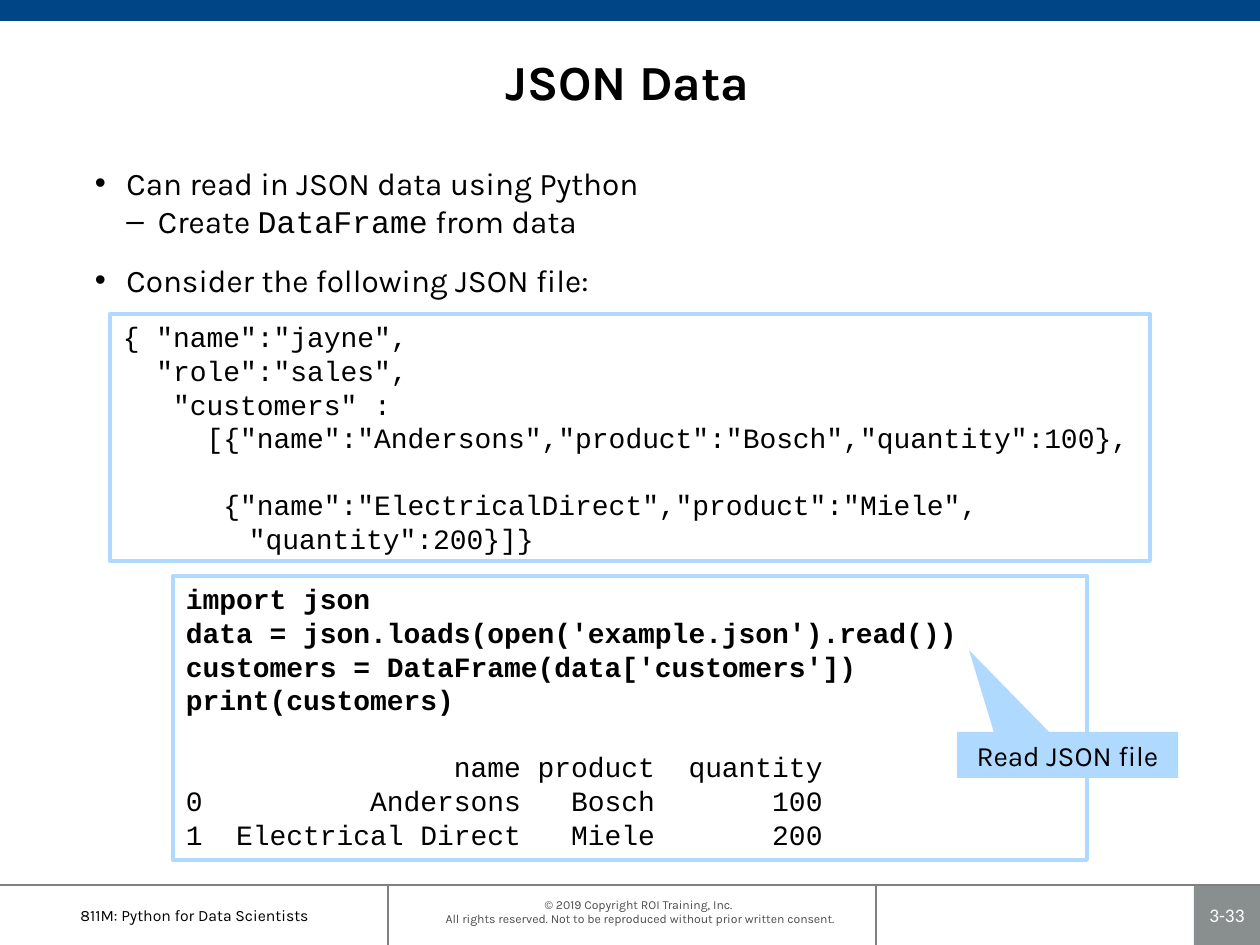
from lxml import etree
from pptx import Presentation
from pptx.dml.color import RGBColor
from pptx.enum.shapes import MSO_CONNECTOR, MSO_SHAPE
from pptx.enum.text import MSO_ANCHOR, MSO_AUTO_SIZE, PP_ALIGN
from pptx.oxml.ns import qn
from pptx.util import Emu, Pt

PX_PER_INCH = 126
EMU_PER_PX = 914400 / PX_PER_INCH
PAGE_WIDTH, PAGE_HEIGHT = 1260, 945
FOOTER_TOP = 885
FOOTER_HEIGHT = PAGE_HEIGHT - FOOTER_TOP

BLACK = RGBColor(0x00, 0x00, 0x00)
WHITE = RGBColor(0xFF, 0xFF, 0xFF)
NAVY = RGBColor(0x00, 0x46, 0x86)
LIGHT_BLUE = RGBColor(0xAF, 0xD9, 0xFF)
RULE_GRAY = RGBColor(0x80, 0x80, 0x80)
NUMBER_GRAY = RGBColor(0x89, 0x8F, 0x8F)
COPYRIGHT_GRAY = RGBColor(0x4D, 0x4D, 0x4D)

RECTANGLE = MSO_SHAPE.RECTANGLE
CALLOUT = MSO_SHAPE.RECTANGULAR_CALLOUT
STRAIGHT = MSO_CONNECTOR.STRAIGHT
TOP, MIDDLE = MSO_ANCHOR.TOP, MSO_ANCHOR.MIDDLE
LEFT, CENTER = PP_ALIGN.LEFT, PP_ALIGN.CENTER
SANS, MONO = "Karla", "Courier New"
CODE_LINE = Pt(19.2)

BULLETS = [
    (0, [("Can read in JSON data using Python", SANS)]),
    (1, [("Create ", SANS), ("DataFrame", MONO), (" from data", SANS)]),
    (0, [("Consider the following JSON file:", SANS)]),
]
JSON_BLOCKS = [
    (['{ "name":"jayne",',
      '  "role":"sales",',
      '   "customers" :',
      '     [{"name":"Andersons","product":"Bosch","quantity":100},'], False),
    (['      {"name":"ElectricalDirect","product":"Miele",',
      '\t\t"quantity":200}]}'], False),
]
PYTHON_BLOCKS = [
    (["import json",
      "data = json.loads(open('example.json').read())",
      "customers = DataFrame(data['customers'])",
      "print(customers)"], True),
    (["                name product  quantity",
      "0          Andersons   Bosch       100",
      "1  Electrical Direct   Miele       200"], False),
]


def px(value):
    return Emu(round(value * EMU_PER_PX))


def set_all(target, values):
    for name, value in values.items():
        setattr(target, name, value)


class SlideBuilder:
    """Holds the deck, the current page and the shared text style."""

    def __init__(self):
        self.deck = Presentation()
        set_all(self.deck, {"slide_width": px(PAGE_WIDTH),
                            "slide_height": px(PAGE_HEIGHT)})
        self.page = self.deck.slides.add_slide(self.deck.slide_layouts[5])

    def format_frame(self, frame, anchor=TOP, margins=(13, 6)):
        across, down = map(px, margins)
        set_all(frame, {"word_wrap": True, "auto_size": MSO_AUTO_SIZE.NONE,
                        "vertical_anchor": anchor,
                        "margin_left": across, "margin_right": across,
                        "margin_top": down, "margin_bottom": down})

    def add_span(self, para, text, size, font=SANS, color=BLACK, bold=False):
        span = para.add_run()
        span.text = text
        set_all(span.font, {"size": Pt(size), "name": font, "bold": bold})
        span.font.color.rgb = color

    def label(self, box, lines, size, anchor=MIDDLE, margins=(13, 6), **style):
        """Centre the lines in one paragraph, parted by line breaks."""
        self.format_frame(box.text_frame, anchor, margins)
        para = box.text_frame.paragraphs[0]
        para.alignment = CENTER
        for index, line in enumerate(lines):
            if index:
                para.add_line_break()
            self.add_span(para, line, size, **style)

    def title(self, text, *area):
        box = self.page.shapes.title
        set_all(box, dict(zip(("left", "top", "width", "height"), map(px, area))))
        self.label(box, [text], 28, bold=True)

    def text_box(self, *area):
        return self.page.shapes.add_textbox(*map(px, area))

    def shape(self, kind, *area, fill=None, line=None):
        box = self.page.shapes.add_shape(kind, *map(px, area))
        box.shadow.inherit = False
        if fill is None:
            box.fill.background()
        else:
            box.fill.solid()
            box.fill.fore_color.rgb = fill
        if line is None:
            box.line.fill.background()
        else:
            box.line.color.rgb = line
            box.line.width = Pt(2.25)
        return box

    def rule(self, *ends):
        line = self.page.shapes.add_connector(STRAIGHT, *map(px, ends))
        line.line.color.rgb = RULE_GRAY
        line.line.width = Pt(1.5)
        properties = line._element.spPr
        etree.SubElement(properties, qn("a:effectLst"))

    def bullets(self, items, *area):
        frame = self.text_box(*area).text_frame
        self.format_frame(frame)
        for index, (level, spans) in enumerate(items):
            para = frame.add_paragraph() if index else frame.paragraphs[0]
            para.level = level
            if index and level == 0:
                para.space_before = Pt(12)
            properties = para._p.get_or_add_pPr()
            indent = px(PX_PER_INCH / 4)
            properties.set("marL", str(indent * (level + 1)))
            properties.set("indent", str(-indent))
            etree.SubElement(properties, qn("a:buFont"), typeface="Arial")
            etree.SubElement(properties, qn("a:buChar"), char="•–"[level])
            for text, font in spans:
                self.add_span(para, text, 18, font)

    def code(self, blocks, *area):
        """Frame blocks of (lines, bold), set apart by the height of a line."""
        frame = self.shape(RECTANGLE, *area, line=LIGHT_BLUE).text_frame
        self.format_frame(frame)
        for block, (lines, bold) in enumerate(blocks):
            for index, line in enumerate(lines):
                first = block == index == 0
                para = frame.paragraphs[0] if first else frame.add_paragraph()
                para.alignment = LEFT
                para.line_spacing = CODE_LINE
                if block and index == 0:
                    para.space_before = CODE_LINE
                self.add_span(para, line, 16, MONO, bold=bold)

    def callout(self, text, tip, *area):
        """Draw a callout whose pointer ends at tip."""
        left, top, width, height = area
        box = self.shape(CALLOUT, *area, fill=LIGHT_BLUE)
        box.adjustments[0] = (tip[0] - left) / width - 0.5
        box.adjustments[1] = (tip[1] - top) / height - 0.5
        self.label(box, [text], 16)

    def footer(self):
        number = self.shape(RECTANGLE, 1194, FOOTER_TOP, 66, FOOTER_HEIGHT,
                            fill=NUMBER_GRAY)
        self.label(number, ["3-33"], 11, margins=(5, 5), font="Calibri",
                   color=WHITE)
        self.rule(0, FOOTER_TOP, PAGE_WIDTH, FOOTER_TOP)
        for x in (388, 876):
            self.rule(x, FOOTER_TOP, x, PAGE_HEIGHT)
        self.label(self.text_box(309, 897, 662, 30),
                   ["© 2019 Copyright ROI Training, Inc. ",
                    "All rights reserved. Not to be reproduced without "
                    "prior written consent."],
                   7, TOP, (13, 0), color=COPYRIGHT_GRAY)
        self.label(self.text_box(0, FOOTER_TOP, 389, FOOTER_HEIGHT),
                   ["811M: Python for Data Scientists"], 9)


def main():
    builder = SlideBuilder()
    builder.footer()
    builder.shape(RECTANGLE, 0, 0, PAGE_WIDTH, 21, fill=NAVY)
    builder.title("JSON Data", 145, 37, 965, 87)
    builder.bullets(BULLETS, 82, 158, 1105, 698)
    builder.code(PYTHON_BLOCKS, 173, 576, 914, 284)
    builder.callout("Read JSON file", (969, 650), 957, 732, 221, 46)
    builder.code(JSON_BLOCKS, 110, 314, 1040, 247)
    builder.deck.save("out.pptx")


if __name__ == "__main__":
    main()
